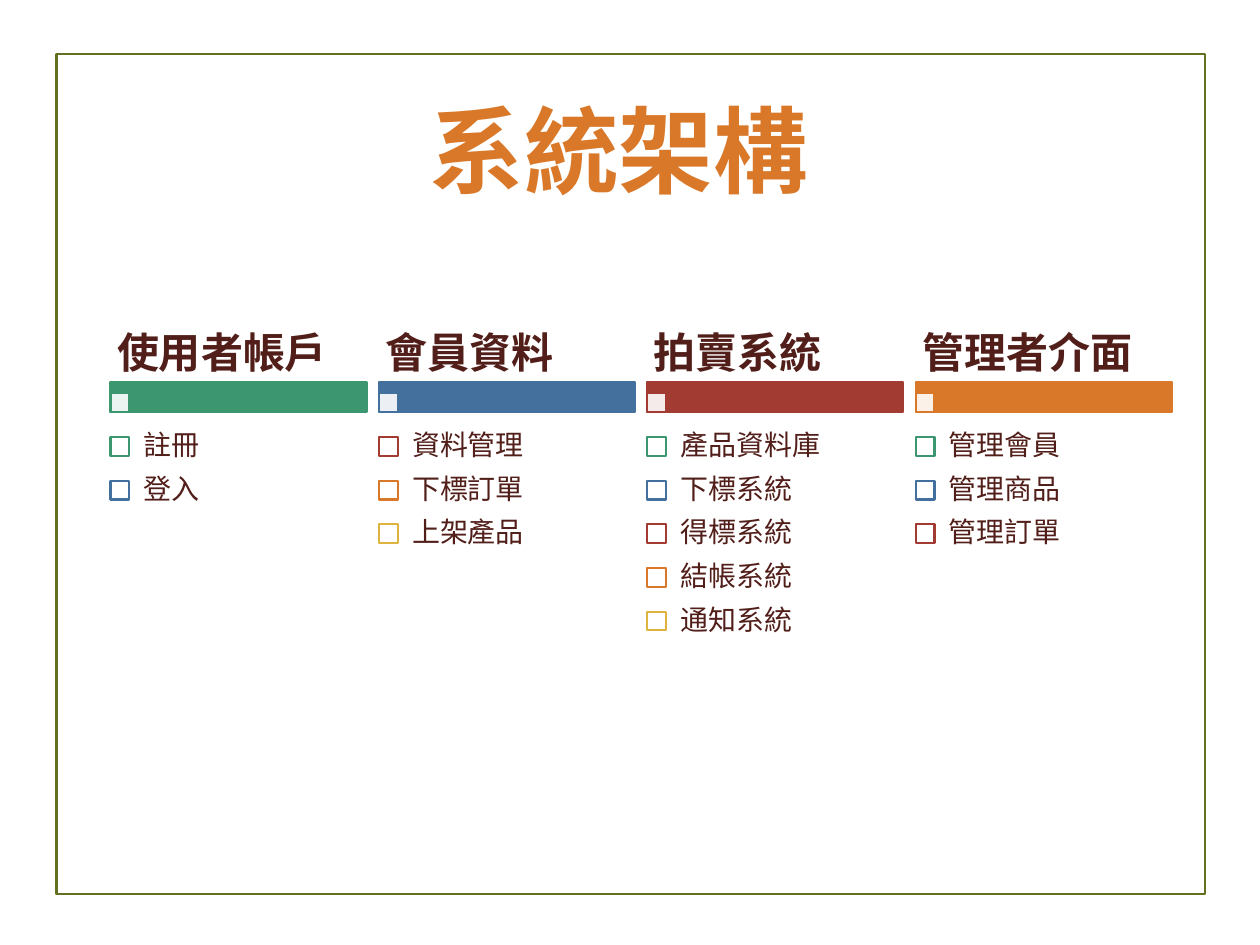
import dataclasses
import itertools

import pptx
import pptx.dml.color
import pptx.enum.shapes
import pptx.enum.text
import pptx.oxml
import pptx.oxml.ns
import pptx.util
from pptx.util import Cm


@dataclasses.dataclass(frozen=True)
class Theme:
    white: str = "FFFFFF"
    frame: str = "61711F"
    title: str = "D97828"
    text: str = "511E19"
    accents: tuple = ("3C9770", "44709D", "A23C33", "D97828", "DEB340")
    title_font: str = "Comic Neue"
    body_font: str = "Noto Sans CJK SC"
    title_size: int = 54
    heading_size: int = 24
    item_size: int = 16
    line_width: float = 1.25


THEME = Theme()

COLUMNS = [
    ("使用者帳戶", ["註冊", "登入"]),
    ("會員資料", ["資料管理", "下標訂單", "上架產品"]),
    ("拍賣系統", ["產品資料庫", "下標系統", "得標系統", "結帳系統", "通知系統"]),
    ("管理者介面", ["管理會員", "管理商品", "管理訂單"]),
]

LEFT, COLUMN_STEP, COLUMN_WIDTH = Cm(2.23), Cm(5.41), Cm(5.16)
HEADING_TOP, HEADING_HEIGHT = Cm(6.6), Cm(1.1)
BAR_TOP, BAR_HEIGHT = Cm(7.7), Cm(0.61)
ITEM_TOP, ITEM_STEP = Cm(8.56), Cm(0.88)
BOX, ITEM_INDENT = Cm(0.38), Cm(0.37)


def rgb(color):
    return pptx.dml.color.RGBColor.from_string(color)


def add_rect(s, left, top, width, height, fill, line, opacity=100):
    sp = s.shapes.add_shape(pptx.enum.shapes.MSO_SHAPE.RECTANGLE,
                            left, top, width, height)
    sp.shadow.inherit = False
    sp.fill.solid()
    sp.fill.fore_color.rgb = rgb(fill)
    sp.line.color.rgb = rgb(line)
    sp.line.width = pptx.util.Pt(THEME.line_width)
    if opacity < 100:
        clr = sp.fill._xPr.find(".//" + pptx.oxml.ns.qn("a:srgbClr"))
        alpha = pptx.oxml.parse_xml(
            f'<a:alpha {pptx.oxml.ns.nsdecls("a")} val="{opacity * 1000}"/>')
        clr.append(alpha)
    return sp


def write_text(tf, text, font, size, color, bold=False):
    p = tf.paragraphs[0]
    p.alignment = pptx.enum.text.PP_ALIGN.LEFT
    r = p.add_run()
    r.text = text
    r.font.name = font
    r.font.size = pptx.util.Pt(size)
    r.font.bold = bold
    r.font.color.rgb = rgb(color)
    ea = pptx.oxml.parse_xml(
        f'<a:ea {pptx.oxml.ns.nsdecls("a")} typeface="{font}"/>')
    r.font._element.append(ea)
    return p


def add_label(s, left, top, width, height, inset_x, inset_y, text, size,
              bold=False):
    tf = s.shapes.add_textbox(left, top, width, height).text_frame
    tf.word_wrap = True
    tf.vertical_anchor = pptx.enum.text.MSO_ANCHOR.MIDDLE
    tf.margin_left = tf.margin_right = inset_x
    tf.margin_top = tf.margin_bottom = inset_y
    p = write_text(tf, text, THEME.body_font, size, THEME.text, bold)
    p.line_spacing = 0.9


def set_title(s, text):
    sp = s.shapes.title
    sp.left, sp.top, sp.width, sp.height = Cm(8.41), Cm(1.73), Cm(8.61), Cm(2.57)
    tf = sp.text_frame
    tf.word_wrap = True
    tf.auto_size = pptx.enum.text.MSO_AUTO_SIZE.NONE
    tf.vertical_anchor = pptx.enum.text.MSO_ANCHOR.TOP
    write_text(tf, text, THEME.title_font, THEME.title_size, THEME.title, True)


def add_frame(s):
    """Put the slide border behind the title."""
    sp = add_rect(s, Cm(1.14), Cm(1.09), Cm(23.16), Cm(16.94),
                  THEME.white, THEME.frame)
    s.shapes._spTree.insert(2, sp._element)


def add_heading(s, left, text, color):
    add_rect(s, left, BAR_TOP, COLUMN_WIDTH, BAR_HEIGHT, color, color)
    add_rect(s, left, BAR_TOP + BAR_HEIGHT - BOX, BOX, BOX,
             THEME.white, color, opacity=90)
    add_label(s, left, HEADING_TOP, COLUMN_WIDTH, HEADING_HEIGHT,
              Cm(0.13), Cm(0.08), text, THEME.heading_size, bold=True)


def add_item(s, left, top, text, color):
    add_rect(s, left, top + (ITEM_STEP - BOX) // 2, BOX, BOX,
             THEME.white, color)
    add_label(s, left + ITEM_INDENT, top, COLUMN_WIDTH - ITEM_INDENT, ITEM_STEP,
              Cm(0.3), Cm(0.3), text, THEME.item_size)


def main():
    prs = pptx.Presentation()
    prs.slide_width, prs.slide_height = Cm(25.4), Cm(19.05)
    s = prs.slides.add_slide(prs.slide_layouts.get_by_name("Title Only"))
    add_frame(s)
    set_title(s, "系統架構")

    # Item colours run on from one column to the next.
    item_colors = itertools.cycle(THEME.accents)
    for col, (heading, items) in enumerate(COLUMNS):
        left = LEFT + col * COLUMN_STEP
        add_heading(s, left, heading, THEME.accents[col])
        for row, item in enumerate(items):
            add_item(s, left, ITEM_TOP + row * ITEM_STEP, item,
                     next(item_colors))
    prs.save("out.pptx")


if __name__ == "__main__":
    main()
